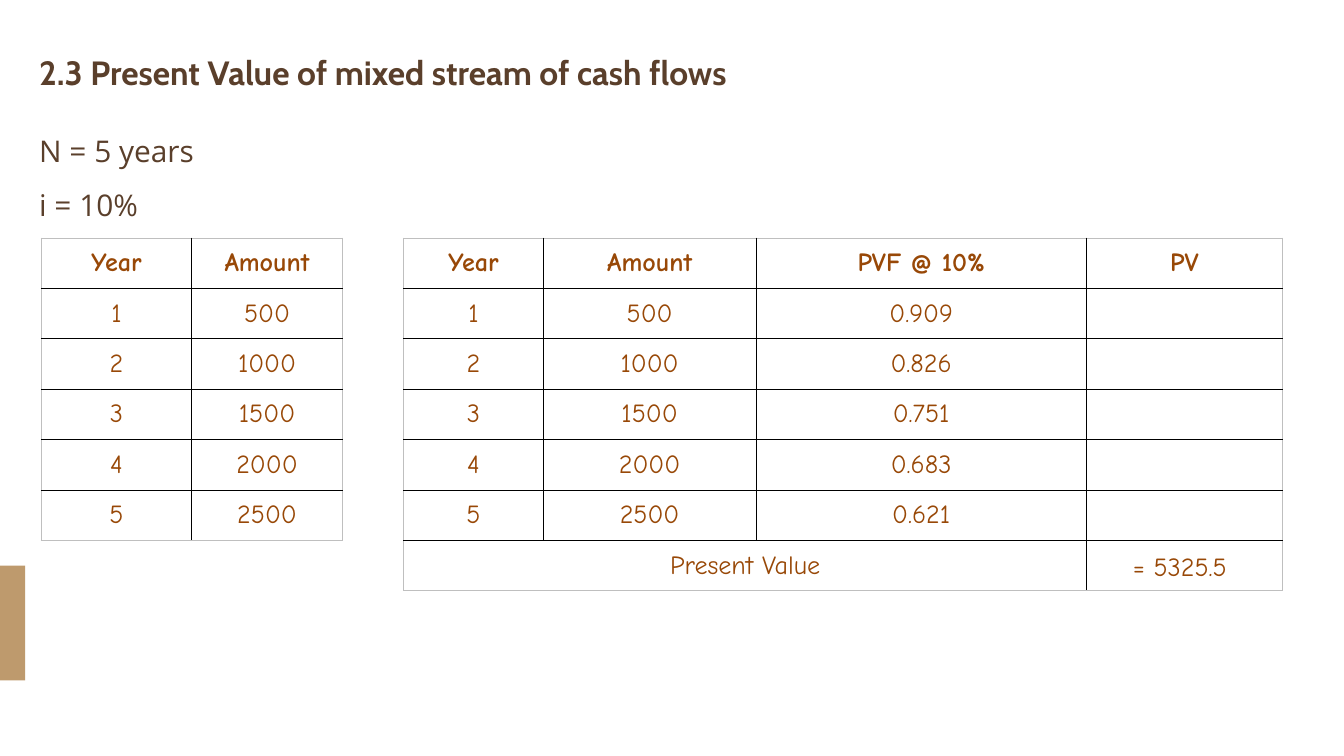
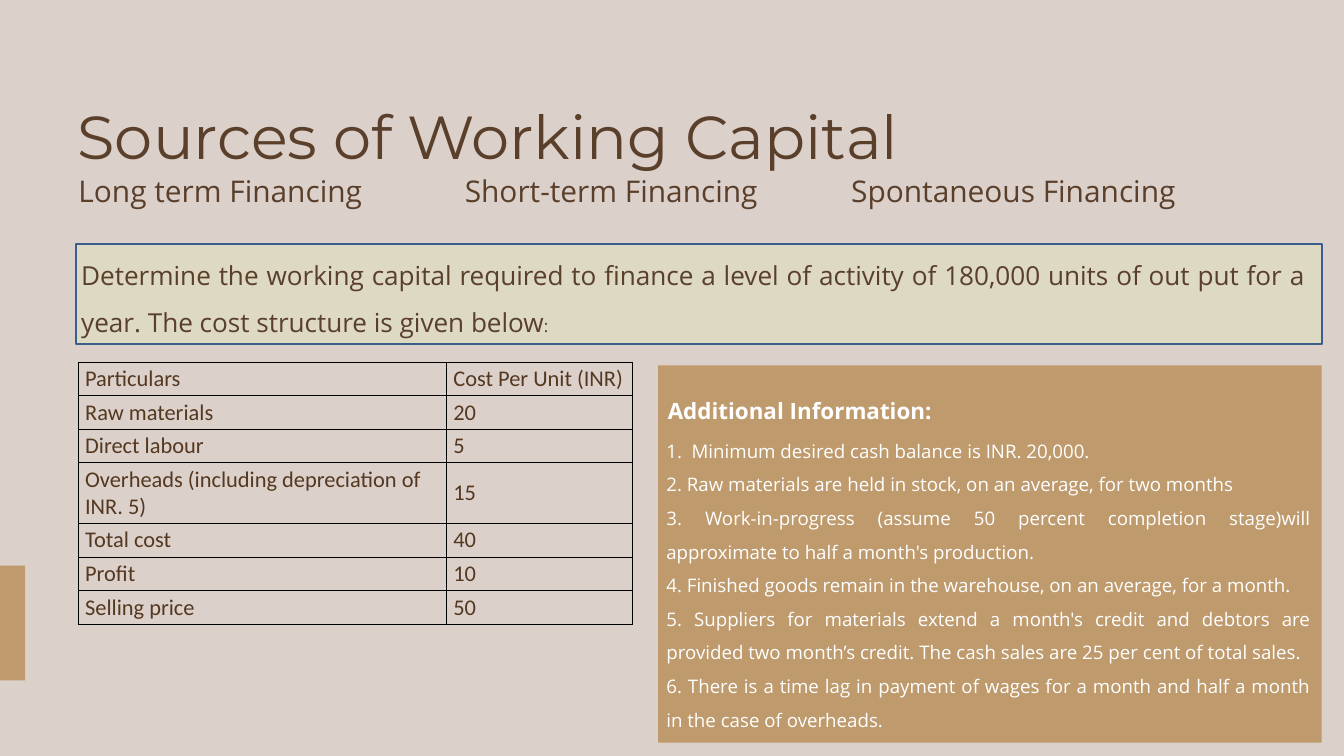
from dataclasses import dataclass, replace
from typing import Optional, Sequence, Union

from lxml import etree
from pptx import Presentation
from pptx.dml.color import RGBColor
from pptx.enum.shapes import MSO_SHAPE
from pptx.enum.text import MSO_ANCHOR, MSO_AUTO_SIZE, PP_ALIGN
from pptx.oxml.ns import qn
from pptx.util import Emu, Pt

RECTANGLE = MSO_SHAPE.RECTANGLE
LEFT, CENTER, JUSTIFY = PP_ALIGN.LEFT, PP_ALIGN.CENTER, PP_ALIGN.JUSTIFY
MIDDLE = MSO_ANCHOR.MIDDLE
GROW = MSO_AUTO_SIZE.SHAPE_TO_FIT_TEXT

EMU_PER_PX = 9525
COLORS = {
    "white": "FFFFFF",
    "blush": "DBD0CA",
    "tan": "BE9A6D",
    "brown": "5A3F2B",
    "dark_brown": "543820",
    "rust": "984807",
    "sand": "DDD9C3",
    "blue": "3A5F8C",
    "black": "000000",
    "grey": "BFBFBF",
}


@dataclass(frozen=True)
class Frame:
    left: int
    top: int
    width: int
    height: int


@dataclass(frozen=True)
class Style:
    font: str
    size: int
    color: str
    bold: bool = False
    align: PP_ALIGN = LEFT
    spacing: Union[float, Pt, None] = None


@dataclass(frozen=True)
class Grid:
    left: int
    top: int
    columns: Sequence[int]
    row_height: int
    rows: Sequence[Sequence[str]]
    style: Style
    bold_header: bool = False
    outline: str = "black"


BODY = Style("Open Sans", 32, "brown", spacing=1.5)
HEADING = Style("Cabin", 36, "brown", bold=True, spacing=1.5)
TITLE = Style("Montserrat", 65, "brown", spacing=Pt(84.5))
SOURCE = replace(BODY, spacing=Pt(28))
QUESTION = replace(BODY, size=28, align=JUSTIFY)
NOTE = replace(QUESTION, size=20, color="white")
NOTE_HEADING = replace(NOTE, size=24, bold=True)
CASH_FLOW = Style("Comic Neue", 28, "rust", align=CENTER)
COST = Style("Calibri", 24, "dark_brown")

SIDE_TAB = Frame(0, 808, 36, 164)
NUMBER_INDENT = 36

# Year, amount, present value factor
CASH_FLOWS = [
    ("1", "500", "0.909"),
    ("2", "1000", "0.826"),
    ("3", "1500", "0.751"),
    ("4", "2000", "0.683"),
    ("5", "2500", "0.621"),
]
COSTS = [
    ("Particulars", "Cost Per Unit (INR)"),
    ("Raw materials", "20"),
    ("Direct labour", "5"),
    ("Overheads (including depreciation of INR. 5)", "15"),
    ("Total cost", "40"),
    ("Profit", "10"),
    ("Selling price", "50"),
]
SOURCES = ["Long term Financing", "Short-term Financing", "Spontaneous Financing"]
NOTES = [
    "Minimum desired cash balance is INR. 20,000.",
    "2. Raw materials are held in stock, on an average, for two months",
    "3. Work-in-progress (assume 50 percent completion stage)will approximate to "
    "half a month's production.",
    "4. Finished goods remain in the warehouse, on an average, for a month.",
    "5. Suppliers for materials extend a month's credit and debtors are provided "
    "two month’s credit. The cash sales are 25 per cent of total sales.",
    "6. There is a time lag in payment of wages for a month and half a month in "
    "the case of overheads.",
]


def px(length: int) -> Emu:
    return Emu(length * EMU_PER_PX)


def place(frame: Frame) -> tuple:
    return px(frame.left), px(frame.top), px(frame.width), px(frame.height)


def rgb(name: str) -> RGBColor:
    return RGBColor.from_string(COLORS[name])


def format_run(span, style: Style) -> None:
    span.font.name = style.font
    span.font.size = Pt(style.size)
    span.font.bold = style.bold
    span.font.color.rgb = rgb(style.color)


def format_paragraph(para, style: Style) -> None:
    para.alignment = style.align
    if style.spacing is not None:
        para.line_spacing = style.spacing
    for span in para.runs:
        format_run(span, style)


def add_text(page, frame: Frame, lines: Sequence[str], style: Style):
    box = page.shapes.add_textbox(*place(frame))
    text = box.text_frame
    text.word_wrap = True
    text.auto_size = GROW
    text.margin_left = text.margin_top = text.margin_right = text.margin_bottom = 0
    text.text = "\n".join(lines)
    for para in text.paragraphs:
        format_paragraph(para, style)
    return box


def add_panel(page, frame: Frame, fill: str, line: Optional[str] = None) -> None:
    panel = page.shapes.add_shape(RECTANGLE, *place(frame))
    panel.shadow.inherit = False
    panel.fill.solid()
    panel.fill.fore_color.rgb = rgb(fill)
    if line:
        panel.line.color.rgb = rgb(line)
        panel.line.width = Pt(2)
    else:
        panel.line.fill.background()


def set_borders(cell, colors: dict) -> None:
    properties = cell._tc.get_or_add_tcPr()
    for side in "LRTB":
        line = etree.SubElement(properties, qn(f"a:ln{side}"), w=str(Pt(1)))
        fill = etree.SubElement(line, qn("a:solidFill"))
        etree.SubElement(fill, qn("a:srgbClr"), val=COLORS[colors[side]])


def add_grid(page, grid: Grid):
    last_row, last_column = len(grid.rows) - 1, len(grid.columns) - 1
    frame = Frame(grid.left, grid.top, sum(grid.columns),
                  grid.row_height * len(grid.rows))
    table = page.shapes.add_table(last_row + 1, last_column + 1, *place(frame)).table
    table.first_row = table.horz_banding = False
    for column, width in zip(table.columns, grid.columns):
        column.width = px(width)
    for r, values in enumerate(grid.rows):
        table.rows[r].height = px(grid.row_height)
        style = replace(grid.style, bold=grid.bold_header and r == 0)
        for c, value in enumerate(values):
            cell = table.cell(r, c)
            outer = {"L": c == 0, "R": c == last_column,
                     "T": r == 0, "B": r == last_row}
            set_borders(cell, {side: grid.outline if edge else "black"
                               for side, edge in outer.items()})
            cell.fill.background()
            cell.vertical_anchor = MIDDLE
            if value:
                cell.text_frame.text = value
                format_paragraph(cell.text_frame.paragraphs[0], style)
    return table


def number_paragraph(para) -> None:
    properties = para._p.get_or_add_pPr()
    properties.set("marL", str(px(NUMBER_INDENT)))
    properties.set("indent", str(-px(NUMBER_INDENT)))
    etree.SubElement(properties, qn("a:buAutoNum"), type="arabicPeriod")


def add_page(deck, background: str):
    page = deck.slides.add_slide(deck.slide_layouts[6])
    page.background.fill.solid()
    page.background.fill.fore_color.rgb = rgb(background)
    add_panel(page, SIDE_TAB, "tan")
    return page


def build_present_value(deck) -> None:
    page = add_page(deck, "white")
    add_text(page, Frame(56, 46, 1800, 87),
             ["2.3 Present Value of mixed stream of cash flows"], HEADING)
    add_text(page, Frame(56, 164, 1800, 156), ["N = 5 years", "i = 10%"], BODY)

    # Cash flows, then their discounting
    stream = [("Year", "Amount"), *(flow[:2] for flow in CASH_FLOWS)]
    add_grid(page, Grid(59, 340, [215, 215], 72, stream, CASH_FLOW, True, "grey"))
    discounting = [
        ("Year", "Amount", "PVF @ 10%", "PV"),
        *((*flow, "") for flow in CASH_FLOWS),
        ("Present Value", "", "", ""),
    ]
    table = add_grid(page, Grid(577, 340, [199, 304, 472, 280], 72, discounting,
                                CASH_FLOW, True, "grey"))
    total_row = len(discounting) - 1
    table.cell(total_row, 0).merge(table.cell(total_row, 2))

    # Total
    total = add_text(page, Frame(1598, 781, 175, 55), ["= 5325.5"], CASH_FLOW).text_frame
    total.word_wrap = False
    total.margin_left = total.margin_right = px(10)
    total.margin_top = total.margin_bottom = px(5)


def build_working_capital(deck) -> None:
    page = add_page(deck, "blush")
    add_text(page, Frame(111, 132, 1720, 114), ["Sources of Working Capital"], TITLE)
    for index, source in enumerate(SOURCES):
        add_text(page, Frame(112 + 552 * index, 260, 552, 37), [source], SOURCE)

    # Question
    add_panel(page, Frame(108, 348, 1780, 144), "sand", "blue")
    question = add_text(page, Frame(116, 348, 1748, 174), [
        "Determine the working capital required to finance a level of activity of "
        "180,000 units of out put for a year. The cost structure is given below"
    ], QUESTION)
    colon = question.text_frame.paragraphs[0].add_run()
    colon.text = ":"
    format_run(colon, replace(QUESTION, size=18))

    # Cost structure
    add_grid(page, Grid(112, 517, [526, 266], 43, COSTS, COST))

    # Additional information
    add_panel(page, Frame(940, 522, 948, 539), "tan")
    add_text(page, Frame(954, 548, 920, 52), ["Additional Information:"], NOTE_HEADING)
    notes = add_text(page, Frame(952, 612, 920, 436), NOTES, NOTE)
    number_paragraph(notes.text_frame.paragraphs[0])


def main() -> None:
    deck = Presentation()
    deck.slide_width, deck.slide_height = px(1920), px(1080)
    build_present_value(deck)
    build_working_capital(deck)
    deck.save("out.pptx")


if __name__ == "__main__":
    main()
